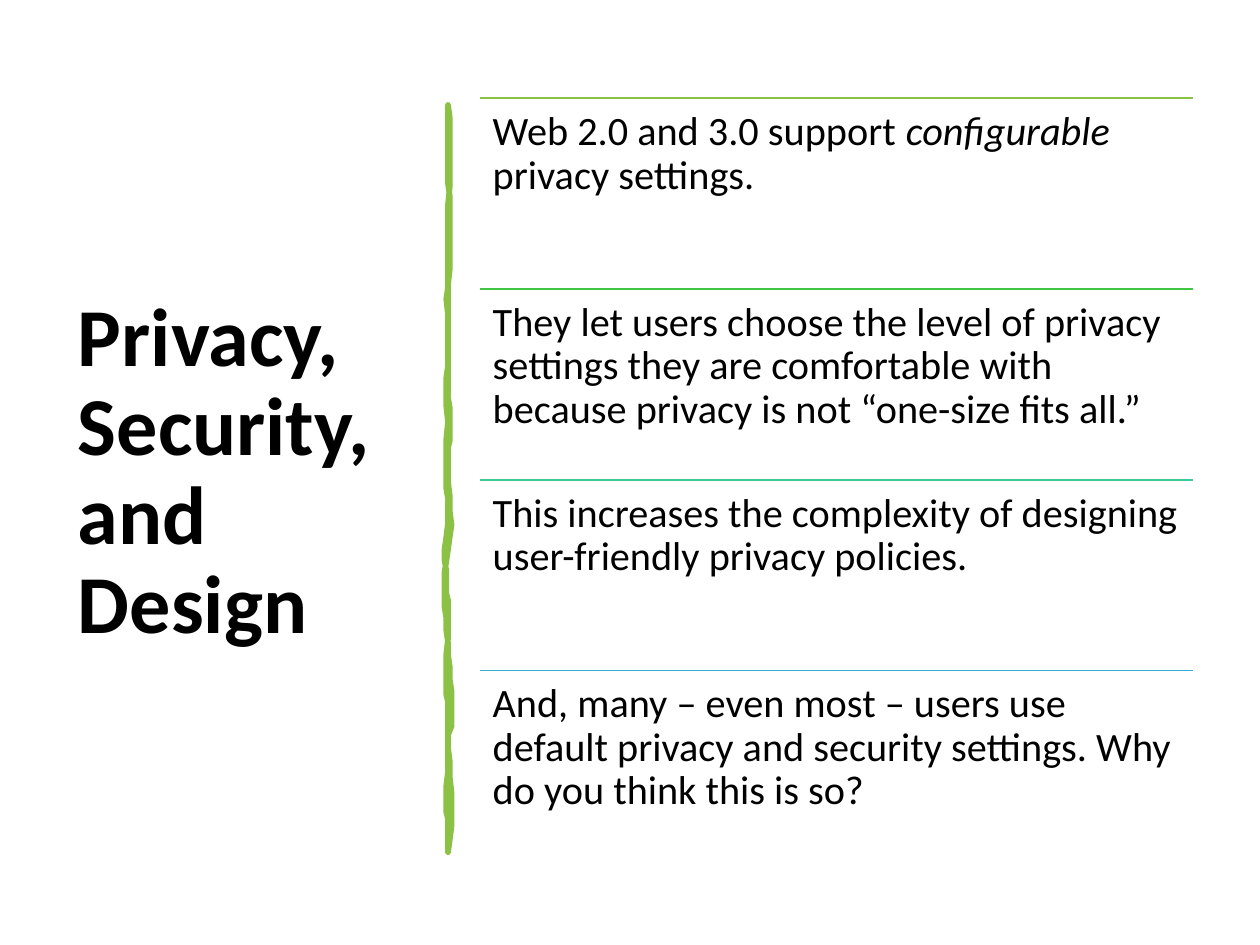
from lxml import etree
from pptx import Presentation
from pptx.dml.color import RGBColor
from pptx.enum import shapes, text
from pptx.oxml.ns import qn
from pptx.util import Pt

HUES = {"ink": "000000", "lime": "8BC145", "green": "40C543",
        "teal": "3BCA93", "blue": "36AFCE"}

TITLE = {"size": Pt(47), "bold": True}
BODY = {"size": Pt(23)}
SLANT = {"italic": True}

ITEMS = [
    ("lime", [("Web 2.0 and 3.0 support ", {}), ("configurable", SLANT),
              (" privacy settings.", {})]),
    ("green", [("They let users choose the level of privacy settings they are "
                "comfortable with because privacy is not “one-size fits all.”", {})]),
    ("teal", [("This increases the complexity of designing user-friendly "
               "privacy policies.", {})]),
    ("blue", [("And, many – even most – users use default privacy and security "
               "settings. Why do you think this is so?", {})]),
]

RIGHT = [
    (-0.7, 74.2, 0.7, 83.5, 105.1), (0.7, 125.3, 0.7, 137.5, 162.7),
    (-0.7, 185.8, 0, 188.6, 211.7), (-0.7, 234, 2.2, 246.2, 256.3),
    (-2.2, 267.8, 3.6, 298.1, 313.9), (-5, 332.6, -2.2, 347.8, 367.2),
    (0, 385.2, 4.3, 405.4, 420.5), (0, 436.3, 3.6, 470.2, 486.7),
]
LEFT = [
    (0.7, 464.4, -1.4, 463.7, 441.4), (0.7, 419.8, 0, 410.4, 401),
    (-1.4, 393.1, 0.7, 355.7, 343.4), (0, 332.6, -2.9, 321.8, 298.8),
    (0.7, 277.9, -2.2, 268.6, 241.2), (-0.7, 216, 0.7, 200.9, 180),
    (-0.7, 155.5, 1.4, 146.2, 130.3), (0, 118.8, 3.6, 74.9, 60.5),
]


def trace(x, top, curves, steps=8):
    """Return points along cubic curves that wobble about a vertical at x."""
    dots = []
    for dx, y1, ex, y2, end in curves:
        for n in range(1, steps + 1):
            t = n / steps
            a, b, c = 3 * t * (1 - t) ** 2, 3 * t * t * (1 - t), t ** 3
            dots.append((x + a * dx + b * ex,
                         (1 - t) ** 3 * top + a * y1 + b * y2 + c * end))
        top = end
    return dots


class Deck:
    """Hold the style and the current slide, and draw each kind of element."""

    def __init__(self, wide, high, face="Calibri"):
        self.file = Presentation()
        self.file.slide_width, self.file.slide_height = Pt(wide), Pt(high)
        self.slide = self.file.slides.add_slide(self.file.slide_layouts[6])
        self.face = face

    def hue(self, name):
        return RGBColor.from_string(HUES[name])

    def stroke(self, line, hue, width):
        line.color.rgb = self.hue(hue)
        line.width = Pt(width)

    def text(self, box, runs, style, pads, anchor=text.MSO_ANCHOR.TOP):
        frame = self.slide.shapes.add_textbox(*map(Pt, box)).text_frame
        across, down = map(Pt, pads)
        form = {"word_wrap": True, "vertical_anchor": anchor,
                "margin_left": across, "margin_right": across,
                "margin_top": down, "margin_bottom": down}
        for key, value in form.items():
            setattr(frame, key, value)
        para = frame.paragraphs[0]
        para.line_spacing = 0.9
        for words, extra in runs:
            run = para.add_run()
            run.text = words
            for key, value in {"name": self.face, **style, **extra}.items():
                setattr(run.font, key, value)
            run.font.color.rgb = self.hue("ink")

    def rule(self, x, y, wide, hue):
        line = self.slide.shapes.add_connector(
            shapes.MSO_CONNECTOR.STRAIGHT, Pt(x), Pt(y), Pt(x + wide), Pt(y))
        self.stroke(line.line, hue, 1)
        etree.SubElement(line._element.spPr, qn("a:effectLst"))

    def brush(self, dots, hue, width):
        pen = self.slide.shapes.build_freeform(*dots[0], scale=Pt(1))
        pen.add_line_segments(dots[1:], close=True)
        shape = pen.convert_to_shape()
        shape.shadow.inherit = False
        shape.fill.solid()
        shape.fill.fore_color.rgb = self.hue(hue)
        self.stroke(shape.line, hue, width)


def main():
    deck = Deck(720, 540)
    deck.text((37.5, 50.4, 201.6, 440), [("Privacy, Security, and Design", {})],
              TITLE, (7.2, 3.6), text.MSO_ANCHOR.MIDDLE)
    deck.brush(trace(256.3, 60.5, RIGHT) + trace(255.6, 486.7, LEFT), "lime", 3.25)
    left, top, wide, step = 274.5, 56.2, 407.5, 109
    for n, (hue, runs) in enumerate(ITEMS):
        y = top + n * step
        deck.rule(left, y, wide, hue)
        deck.text((left, y, wide, step), runs, BODY, (7.2, 7.2))
    deck.file.save("out.pptx")


if __name__ == "__main__":
    main()
